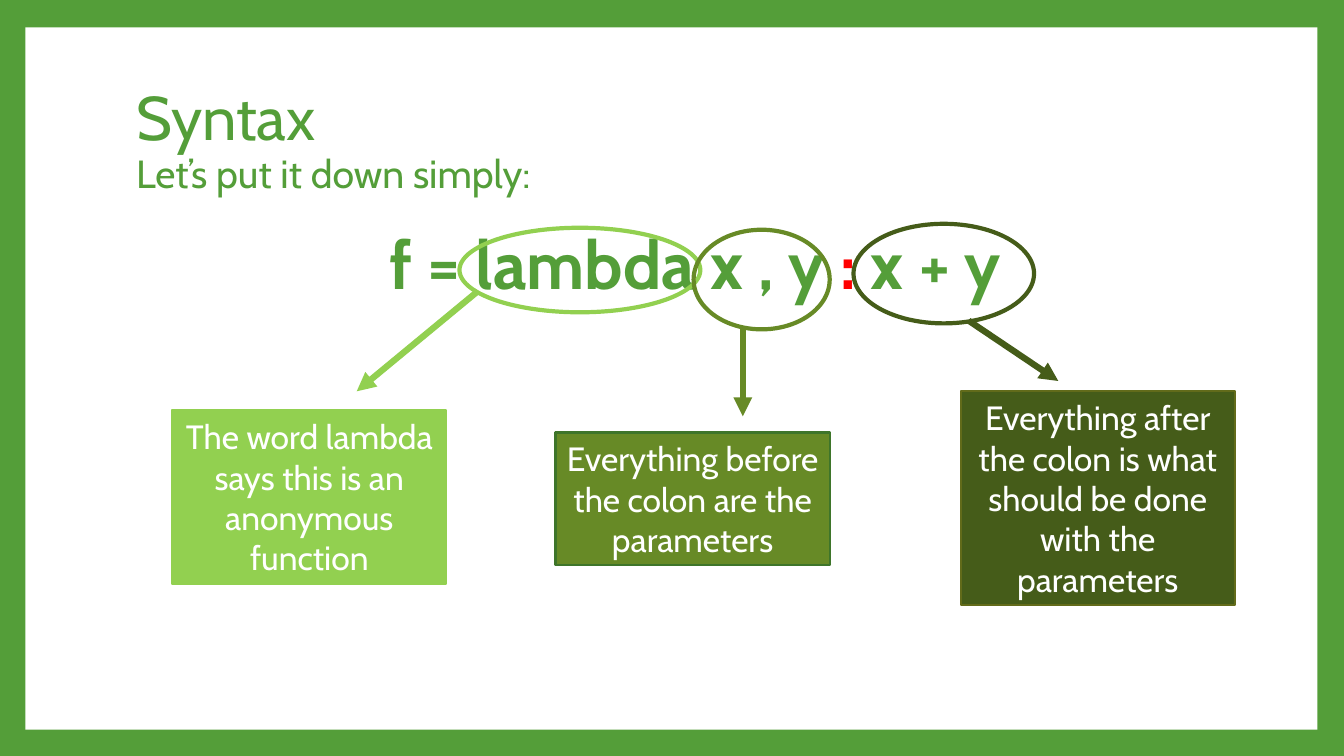
from pptx import Presentation, util as u
from pptx.dml.color import RGBColor
from pptx.enum import shapes, text
from pptx.oxml.ns import qn
from lxml import etree

GREEN = RGBColor(0x54, 0x9E, 0x39)
WHITE = RGBColor(0xFF, 0xFF, 0xFF)
RED = RGBColor(0xFF, 0x00, 0x00)
LIME = RGBColor(0x92, 0xD0, 0x50)
OLIVE = RGBColor(0x67, 0x8A, 0x26)
OLIVE_EDGE = RGBColor(0x3E, 0x75, 0x2A)
MOSS = RGBColor(0x45, 0x5C, 0x19)
MOSS_EDGE = RGBColor(0x62, 0x6B, 0x1A)


def add_run(p, words, size, color, bold=False):
    r = p.add_run()
    r.text = words
    r.font.name = "Cabin"
    r.font.size = u.Pt(size)
    r.font.bold = bold
    r.font.color.rgb = color


def add_shape(kind, at, fill=None, line=None, width=0):
    sp = s.shapes.add_shape(kind, *[u.Cm(v) for v in at])
    sp.shadow.inherit = False
    if fill is None:
        sp.fill.background()
    else:
        sp.fill.solid()
        sp.fill.fore_color.rgb = fill
    if line is None:
        sp.line.fill.background()
    else:
        sp.line.color.rgb = line
        sp.line.width = u.Pt(width)
    return sp


prs = Presentation()
prs.slide_width, prs.slide_height = u.Cm(33.87), u.Cm(19.05)
s = prs.slides.add_slide(prs.slide_layouts[6])
s.background.fill.solid()
s.background.fill.fore_color.rgb = GREEN
RECT, OVAL = shapes.MSO_SHAPE.RECTANGLE, shapes.MSO_SHAPE.OVAL
add_shape(RECT, (0.64, 0.69, 32.56, 17.7), WHITE)

tf = s.shapes.add_textbox(u.Cm(3.18), u.Cm(1.7), u.Cm(27.43), u.Cm(3.76)).text_frame
tf.word_wrap = True
tf.vertical_anchor = text.MSO_ANCHOR.MIDDLE
p = tf.paragraphs[0]
p.line_spacing = 0.9
add_run(p, "Syntax", 44, GREEN)
p.add_line_break()
add_run(p, "Let’s put it down simply:", 28, GREEN)

tf = s.shapes.add_textbox(u.Cm(3.18), u.Cm(5.72), u.Cm(28.55), u.Cm(11.23)).text_frame
tf.word_wrap = True
p = tf.paragraphs[0]
p.alignment = text.PP_ALIGN.CENTER
p.line_spacing = 0.9
p.space_before = u.Pt(14)
p._p.get_or_add_pPr().set("marL", str(u.Cm(0.13)))
for words, color in [("f = lambda x , y ", GREEN), (":", RED), (" x + y", GREEN)]:
    add_run(p, words, 48, color, True)

parts = [
    ("The word lambda says this is an anonymous function", LIME, LIME,
     (4.34, 10.34, 6.91, 4.37), (11.58, 5.74, 6.07, 2.13), (12.04, 7.34, 8.99, 9.86)),
    ("Everything before the colon are the parameters", OLIVE, OLIVE_EDGE,
     (14, 10.9, 6.91, 3.33), (17.48, 5.79, 3.43, 2.51), (18.72, 8.28, 18.72, 10.49)),
    ("Everything after the colon is what should be done with the parameters", MOSS, MOSS_EDGE,
     (24.21, 9.86, 6.91, 5.38), (21.51, 5.64, 4.55, 2.51), (24.41, 8.08, 26.67, 9.6)),
]
for words, color, edge, box, ring, arrow in parts:
    tf = add_shape(RECT, box, color, edge, 1.5).text_frame
    tf.word_wrap = True
    tf.vertical_anchor = text.MSO_ANCHOR.MIDDLE
    p = tf.paragraphs[0]
    p.alignment = text.PP_ALIGN.CENTER
    add_run(p, words, 24, WHITE)

    add_shape(OVAL, ring, None, color, 3)

    cx = s.shapes.add_connector(shapes.MSO_CONNECTOR.STRAIGHT, *[u.Cm(v) for v in arrow])
    cx.line.color.rgb = color
    cx.line.width = u.Pt(4.5)
    etree.SubElement(cx.line._get_or_add_ln(), qn("a:tailEnd"), type="triangle")
    etree.SubElement(cx._element.spPr, qn("a:effectLst"))

prs.save("out.pptx")
